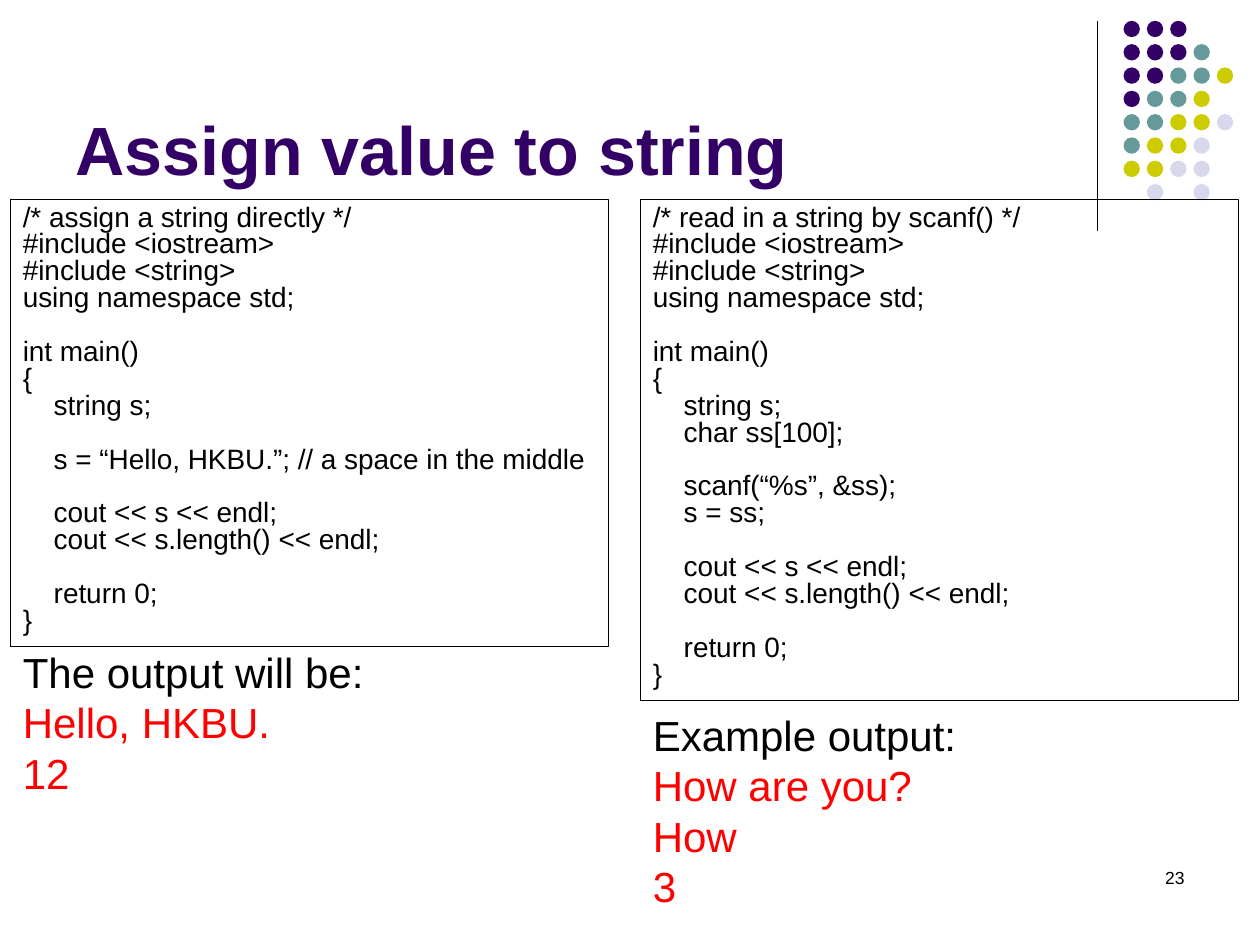
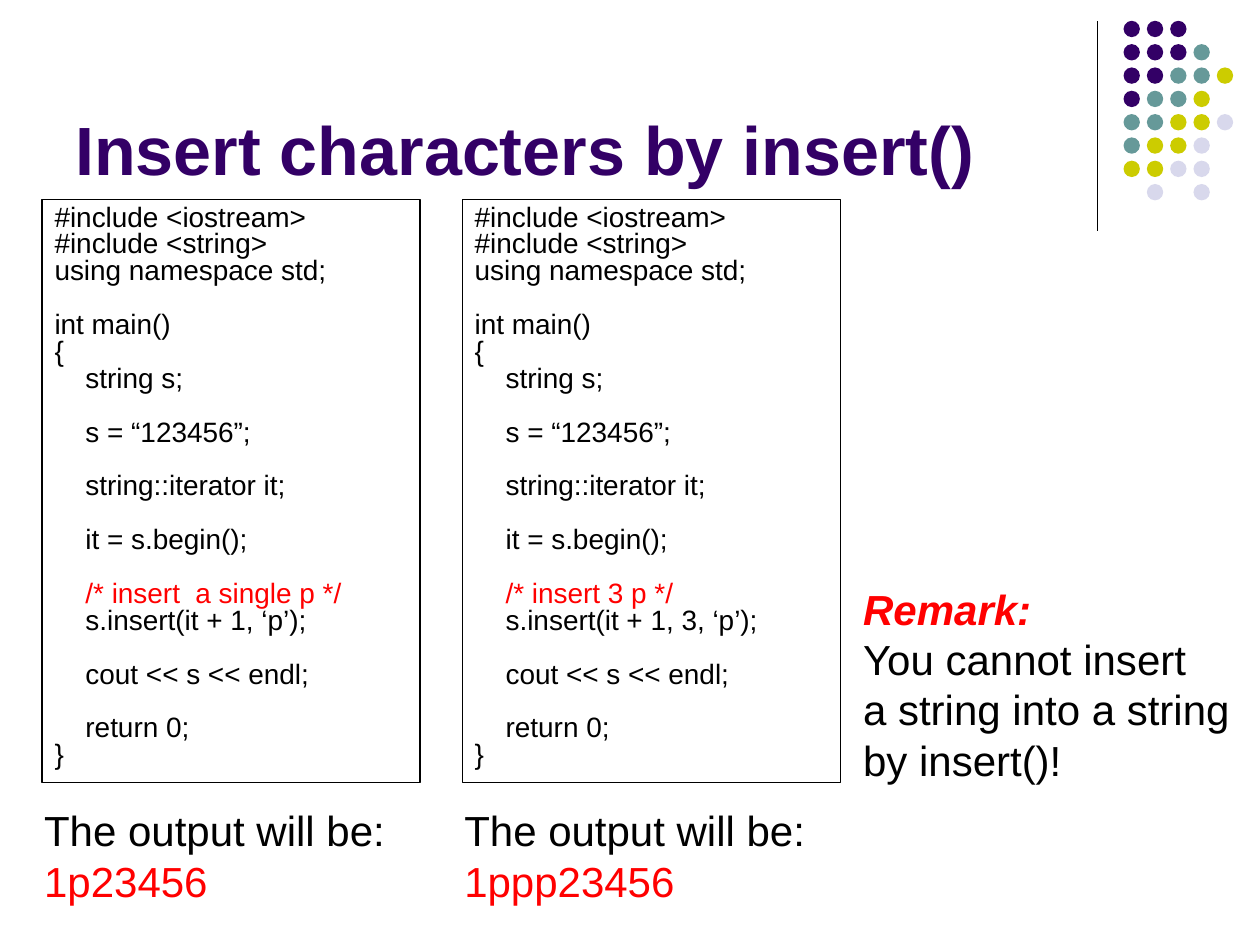
import pptx
import pptx.dml.color
import pptx.enum.shapes
import pptx.enum.text
import pptx.oxml.ns
import pptx.util
from lxml import etree

Cm, Pt = pptx.util.Cm, pptx.util.Pt
SHAPE = pptx.enum.shapes.MSO_SHAPE
ANCHOR = pptx.enum.text.MSO_ANCHOR
ALIGN = pptx.enum.text.PP_ALIGN

COLORS = {"black": "000000", "red": "FF0000", "purple": "330066",
          "teal": "669999", "lime": "CCCC00", "lilac": "D8D8EC"}

# Text formats: font attributes plus a colour name
TITLE = {"size": Pt(39), "bold": True, "color": "purple"}
NUMBER = {"size": Pt(10), "color": "black"}
CODE = {"size": Pt(16), "color": "black"}
CODE_RED = {**CODE, "color": "red"}
BODY = {"size": Pt(24), "color": "black"}
RESULT = {**BODY, "color": "red"}
REMARK = {**RESULT, "bold": True, "italic": True}

# Dot pattern: one letter per dot, a space where there is none
DOT_ROWS = ["PPP", "PPPT", "PPTTL", "PTTL", "TTLLV", "TLLV", "LLVV", " V V"]
DOT_COLORS = {"P": "purple", "T": "teal", "L": "lime", "V": "lilac"}

CODE_TOP = 4.02
CODE_SPACING = 0.8
CODE_GAP = Pt(15.36)  # one empty code line

ASSIGN_CODE = """/* assign a string directly */
#include <iostream>
#include <string>
using namespace std;

int main()
{
    string s;

    s = “Hello, HKBU.”; // a space in the middle

    cout << s << endl;
    cout << s.length() << endl;

    return 0;
}"""

SCANF_CODE = """/* read in a string by scanf() */
#include <iostream>
#include <string>
using namespace std;

int main()
{
    string s;
    char ss[100];

    scanf(“%s”, &ss);
    s = ss;

    cout << s << endl;
    cout << s.length() << endl;

    return 0;
}"""

INSERT_CODE = """#include <iostream>
#include <string>
using namespace std;

int main()
{
    string s;

    s = “123456”;

    string::iterator it;

    it = s.begin();

    COMMENT
    CALL

    cout << s << endl;

    return 0;
}"""


def rgb(name):
    return pptx.dml.color.RGBColor.from_string(COLORS[name])


def add_run(p, text, fmt):
    r = p.add_run()
    r.text = text
    r.font.name = "Arial"
    for key, value in fmt.items():
        if key == "color":
            r.font.color.rgb = rgb(value)
        else:
            setattr(r.font, key, value)


def set_frame(tf, wrap=True, anchor=ANCHOR.TOP):
    tf.word_wrap = wrap
    tf.vertical_anchor = anchor


def add_text(s, box, lines, wrap=True, anchor=ANCHOR.TOP, align=ALIGN.LEFT):
    """Add a text box; lines holds (text, format) pairs, one per paragraph."""
    tf = s.shapes.add_textbox(*map(Cm, box)).text_frame
    set_frame(tf, wrap, anchor)
    for i, (text, fmt) in enumerate(lines):
        p = tf.paragraphs[0] if i == 0 else tf.add_paragraph()
        p.alignment = align
        add_run(p, text, fmt)


def add_code(s, left, width, height, code, highlight=None):
    """Add a framed listing; empty code lines become space before the next."""
    sp = s.shapes.add_shape(SHAPE.RECTANGLE, Cm(left), Cm(CODE_TOP),
                            Cm(width), Cm(height))
    sp.shadow.inherit = False
    sp.fill.background()
    sp.line.color.rgb = rgb("black")
    sp.line.width = Pt(0.75)
    tf = sp.text_frame
    set_frame(tf)
    gap = False
    for i, line in enumerate(code.split("\n")):
        if not line:
            gap = True
            continue
        p = tf.paragraphs[0] if i == 0 else tf.add_paragraph()
        p.alignment = ALIGN.LEFT
        p.line_spacing = CODE_SPACING
        if gap:
            p.space_before = CODE_GAP
        gap = False
        add_run(p, line, CODE_RED if line.strip() == highlight else CODE)


def add_output(s, box, heading, results):
    add_text(s, box, [(heading, BODY)] + [(text, RESULT) for text in results])


def add_rule(s):
    x = Cm(22.12)
    cn = s.shapes.add_connector(pptx.enum.shapes.MSO_CONNECTOR.STRAIGHT,
                                x, Cm(0.43), x, Cm(4.65))
    cn.line.color.rgb = rgb("black")
    cn.line.width = Pt(0.75)
    etree.SubElement(cn._element.spPr, pptx.oxml.ns.qn("a:effectLst"))


def add_dots(s):
    left, top, pitch, size = 22.65, 0.42, 0.47, 0.33
    for row, dots in enumerate(DOT_ROWS):
        for col, dot in enumerate(dots):
            if dot == " ":
                continue
            sp = s.shapes.add_shape(
                SHAPE.OVAL, Cm(left + col * pitch), Cm(top + row * pitch),
                Cm(size), Cm(size))
            sp.shadow.inherit = False
            sp.fill.solid()
            sp.fill.fore_color.rgb = rgb(DOT_COLORS[dot])
            sp.line.fill.background()


def add_slide(prs, title):
    """Add a slide with the shared rule, dots and title."""
    s = prs.slides.add_slide(prs.slide_layouts[6])
    add_rule(s)
    add_dots(s)
    add_text(s, (1.27, 0.33, 20.95, 3.6), [(title, TITLE)],
             anchor=ANCHOR.BOTTOM)
    return s


def build_assign(prs):
    s = add_slide(prs, "Assign value to string")
    add_text(s, (18.2, 17.35, 5.93, 1.27), [("23", NUMBER)], align=ALIGN.RIGHT)

    # Direct assignment
    left, right, width = 0.21, 12.91, 12.06
    add_code(s, left, width, 9.02, ASSIGN_CODE)
    add_output(s, (left, 12.91, 11.22, 3.33), "The output will be:",
               ["Hello, HKBU.", "12"])

    # Reading with scanf()
    add_code(s, right, width, 10.1, SCANF_CODE)
    add_output(s, (right, 14.18, 11.22, 4.37), "Example output:",
               ["How are you?", "How", "3"])


def build_insert(prs):
    s = add_slide(prs, "Insert characters by insert()")

    # Two listings, each with its output below
    variants = [
        ("/* insert  a single p */", "s.insert(it + 1, ‘p’);", "1p23456"),
        ("/* insert 3 p */", "s.insert(it + 1, 3, ‘p’);", "1ppp23456"),
    ]
    for i, (comment, call, result) in enumerate(variants):
        left = 0.85 + i * 8.47
        code = INSERT_CODE.replace("COMMENT", comment).replace("CALL", call)
        add_code(s, left, 7.62, 11.75, code, highlight=comment)
        add_output(s, (left - 0.21, 16.1, 7.72, 2.31), "The output will be:",
                   [result])

    # Remark
    add_text(s, (17.15, 11.63, 7.98, 4.37),
             [("Remark:", REMARK), ("You cannot insert", BODY),
              ("a string into a string", BODY), ("by insert()!", BODY)],
             wrap=False)


def main():
    prs = pptx.Presentation()
    prs.slide_width, prs.slide_height = Cm(25.4), Cm(19.05)
    build_assign(prs)
    build_insert(prs)
    prs.save("out.pptx")


if __name__ == "__main__":
    main()
